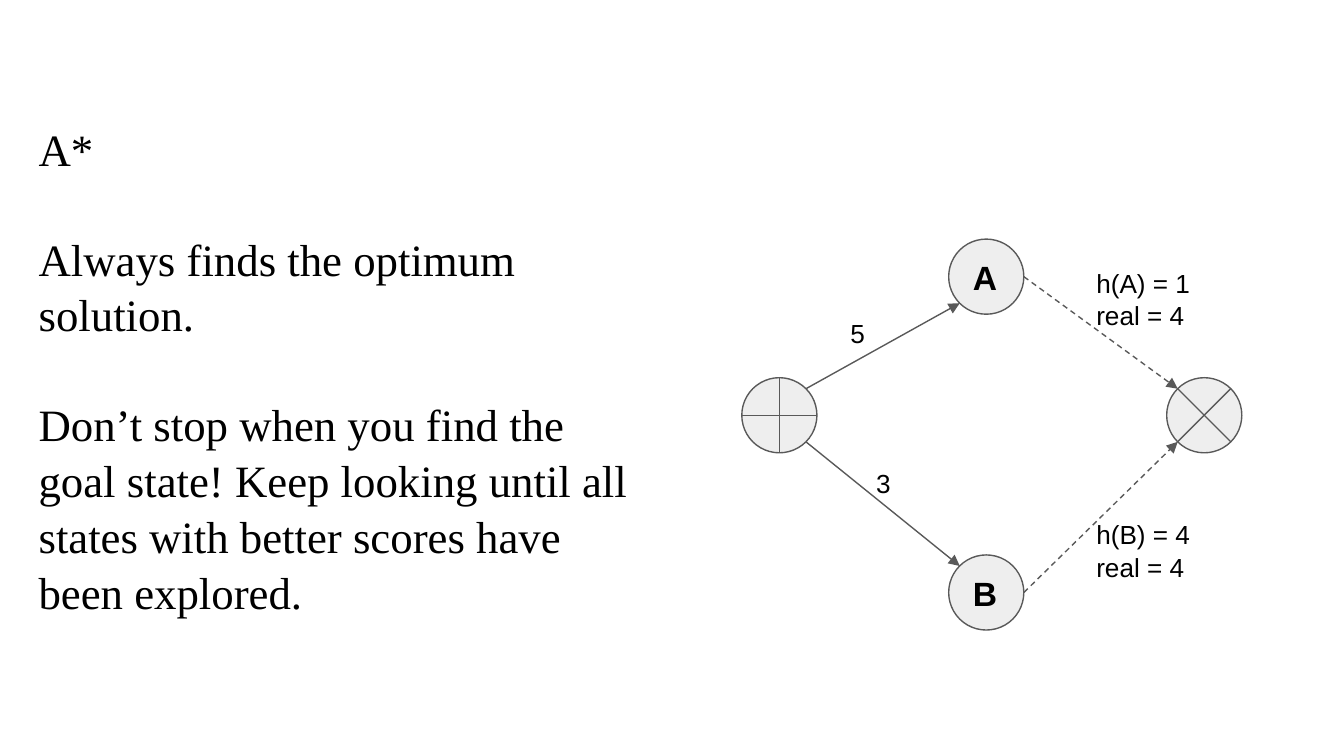
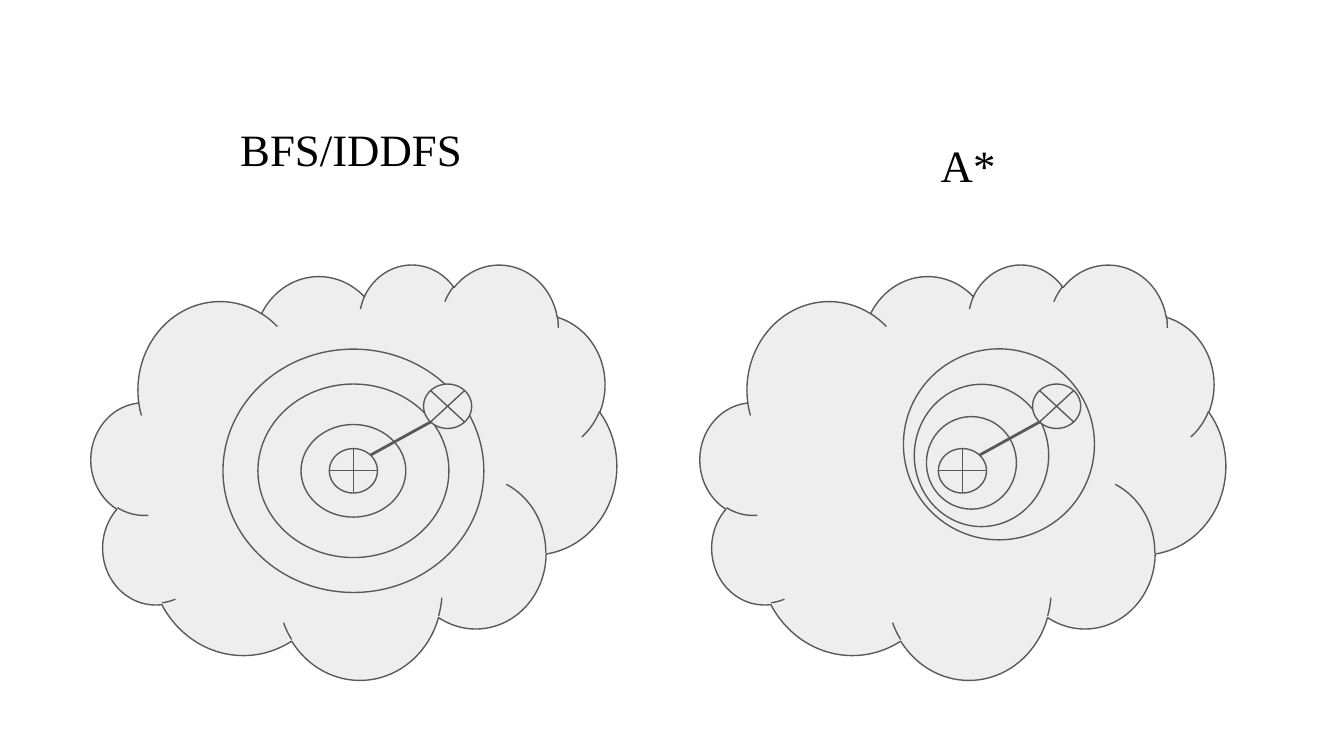
from lxml import etree
from pptx import Presentation
from pptx.dml.color import RGBColor
from pptx.enum import dml, shapes, text
from pptx.oxml.ns import qn
from pptx.util import Cm, Pt

BLACK = RGBColor(0x00, 0x00, 0x00)
LINE_GREY = RGBColor(0x59, 0x59, 0x59)
FILL_GREY = RGBColor(0xEE, 0xEE, 0xEE)
SERIF = "Times New Roman"
SANS = "Arial"
LINE_SPACING = 1.04
DIAGONAL = 0.707

SHAPE = shapes.MSO_SHAPE
START, GOAL = SHAPE.FLOWCHART_OR, SHAPE.FLOWCHART_SUMMING_JUNCTION

# Compass points on an ellipse, in radii from its centre
NORTH_EAST, NORTH_WEST = (DIAGONAL, -DIAGONAL), (-DIAGONAL, -DIAGONAL)
SOUTH_EAST, SOUTH_WEST = (DIAGONAL, DIAGONAL), (-DIAGONAL, DIAGONAL)
EAST = (1, 0)

# Slide 1, lengths in cm
ADVICE = [
    "A*",
    "Always finds the optimum solution.",
    "Don’t stop when you find the goal state! Keep looking until all "
    "states with better scores have been explored.",
]
NODE_SIZE = (1.42, 1.42)
NODES = {  # name: (preset, centre, letter)
    "start": (START, (14.73, 7.85), ""),
    "goal": (GOAL, (22.76, 7.85), ""),
    "a": (SHAPE.OVAL, (18.64, 5.23), "A"),
    "b": (SHAPE.OVAL, (18.64, 11.2), "B"),
}
EDGES = [  # from, side, to, side, dashed
    ("start", NORTH_EAST, "a", SOUTH_WEST, False),
    ("start", SOUTH_EAST, "b", NORTH_WEST, False),
    ("a", EAST, "goal", NORTH_WEST, True),
    ("b", EAST, "goal", SOUTH_WEST, True),
]
LABELS = [  # lines, box
    (["5"], (15.82, 5.72, 0.99, 0.81)),
    (["3"], (16.31, 8.56, 0.79, 0.81)),
    (["h(A) = 1", "real = 4"], (20.47, 4.78, 3.94, 1.42)),
    (["h(B) = 4", "real = 4"], (20.47, 9.53, 3.94, 1.42)),
]

# Slide 2, lengths in cm; rings are (dx, dy, width, height) from the start centre
PANELS = [
    {
        "heading": "BFS/IDDFS", "box": (0.48, 2.01, 12.42, 11.99), "indent": 0,
        "start": (6.68, 8.9),
        "rings": [(0, 0, 4.93, 4.6), (0, 0, 3.61, 3.28), (0, 0, 1.98, 1.75)],
    },
    {
        "heading": "A*", "box": (12.45, 2.31, 12.42, 11.99), "indent": 1.27,
        "start": (18.19, 8.9),
        "rings": [(0.69, -0.5, 3.61, 3.61), (0.36, -0.29, 2.54, 2.69),
                  (0.17, -0.15, 1.7, 1.75)],
    },
]
HEADING_MARGIN = 3.81
CLOUD_OFFSET, CLOUD_SIZE = (0.01, 0.01), (9.93, 7.85)
GOAL_OFFSET, MARK_SIZE = (1.78, -1.22), (0.91, 0.84)


def shifted(point, offset):
    return point[0] + offset[0], point[1] + offset[1]


def rim(centre, size, side):
    """Return the point of an ellipse that lies on the given side."""
    return shifted(centre, (side[0] * size[0] / 2, side[1] * size[1] / 2))


def write(frame, lines, font_name, size, bold=False):
    frame.word_wrap = True
    frame.margin_left = frame.margin_right = Cm(0.25)
    frame.margin_top = frame.margin_bottom = Cm(0.25)
    frame.text = "\n".join(lines)
    for paragraph in frame.paragraphs:
        paragraph.alignment = text.PP_ALIGN.LEFT
        paragraph.line_spacing = LINE_SPACING
        for run in paragraph.runs:
            run.font.name = font_name
            run.font.size = Pt(size)
            run.font.bold = bold
            run.font.color.rgb = BLACK


def add_text(slide, box, lines, font_name, size):
    frame = slide.shapes.add_textbox(*map(Cm, box)).text_frame
    write(frame, lines, font_name, size)
    return frame.paragraphs


def add_centred(slide, preset, centre, size):
    left, top = centre[0] - size[0] / 2, centre[1] - size[1] / 2
    shape = slide.shapes.add_shape(preset, *map(Cm, (left, top, *size)))
    shape.shadow.inherit = False
    shape.fill.solid()
    shape.fill.fore_color.rgb = FILL_GREY
    shape.line.color.rgb = LINE_GREY
    shape.line.width = Pt(0.75)
    return shape


def add_line(slide, begin, end, width, arrow=False, dashed=False):
    connector = slide.shapes.add_connector(
        shapes.MSO_CONNECTOR.STRAIGHT, *map(Cm, (*begin, *end)))
    connector.line.color.rgb = LINE_GREY
    connector.line.width = Pt(width)
    if dashed:
        connector.line.dash_style = dml.MSO_LINE.DASH
    if arrow:
        line_xml = connector.line._get_or_add_ln()
        etree.SubElement(line_xml, qn("a:tailEnd"), type="triangle")
    etree.SubElement(connector._element.spPr, qn("a:effectLst"))


def build_optimum_slide(slide):
    paragraphs = add_text(slide, (0.48, 2.01, 12.04, 11.99), ADVICE, SERIF, 24)
    for paragraph in paragraphs[1:]:
        paragraph.space_before = Pt(28.8)

    for preset, centre, letter in NODES.values():
        node = add_centred(slide, preset, centre, NODE_SIZE)
        if letter:
            write(node.text_frame, [letter], SANS, 18, bold=True)
            node.text_frame.vertical_anchor = text.MSO_ANCHOR.MIDDLE

    for origin, origin_side, target, target_side, dashed in EDGES:
        begin = rim(NODES[origin][1], NODE_SIZE, origin_side)
        end = rim(NODES[target][1], NODE_SIZE, target_side)
        add_line(slide, begin, end, 0.75, arrow=True, dashed=dashed)

    for lines, box in LABELS:
        add_text(slide, box, lines, SANS, 14)


def build_comparison_slide(slide):
    for panel in PANELS:
        heading = add_text(slide, panel["box"], [panel["heading"]], SERIF, 24)[0]
        properties = heading._p.get_or_add_pPr()
        properties.set("marL", str(Cm(HEADING_MARGIN)))
        properties.set("indent", str(Cm(panel["indent"])))

        start = panel["start"]
        goal = shifted(start, GOAL_OFFSET)
        add_centred(slide, SHAPE.CLOUD, shifted(start, CLOUD_OFFSET), CLOUD_SIZE)
        for dx, dy, width, height in panel["rings"]:
            add_centred(slide, SHAPE.OVAL, shifted(start, (dx, dy)), (width, height))
        add_centred(slide, START, start, MARK_SIZE)
        add_centred(slide, GOAL, goal, MARK_SIZE)
        add_line(slide, rim(start, MARK_SIZE, NORTH_EAST),
                 rim(goal, MARK_SIZE, SOUTH_WEST), 1.5)


def main():
    presentation = Presentation()
    presentation.slide_width, presentation.slide_height = Cm(25.4), Cm(14.29)
    blank = presentation.slide_layouts.get_by_name("Blank")
    for build in (build_optimum_slide, build_comparison_slide):
        build(presentation.slides.add_slide(blank))
    presentation.save("out.pptx")


if __name__ == "__main__":
    main()
